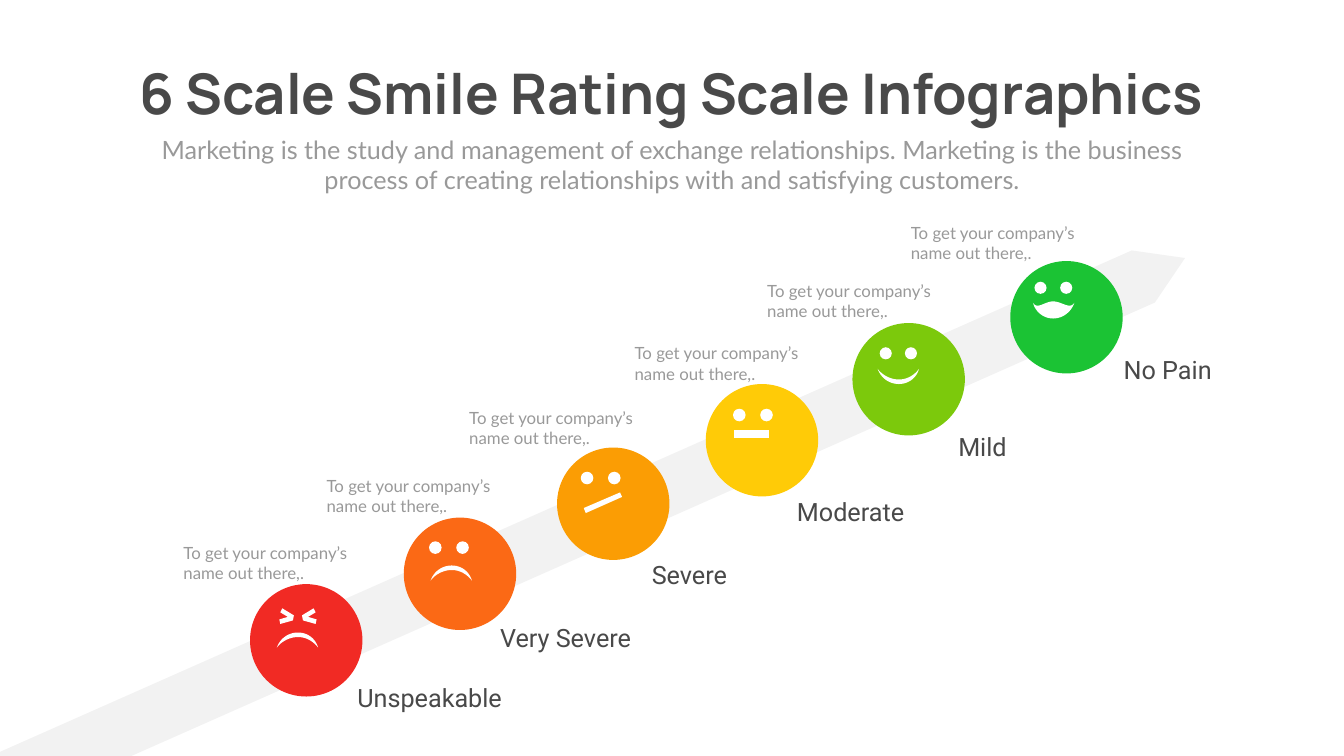
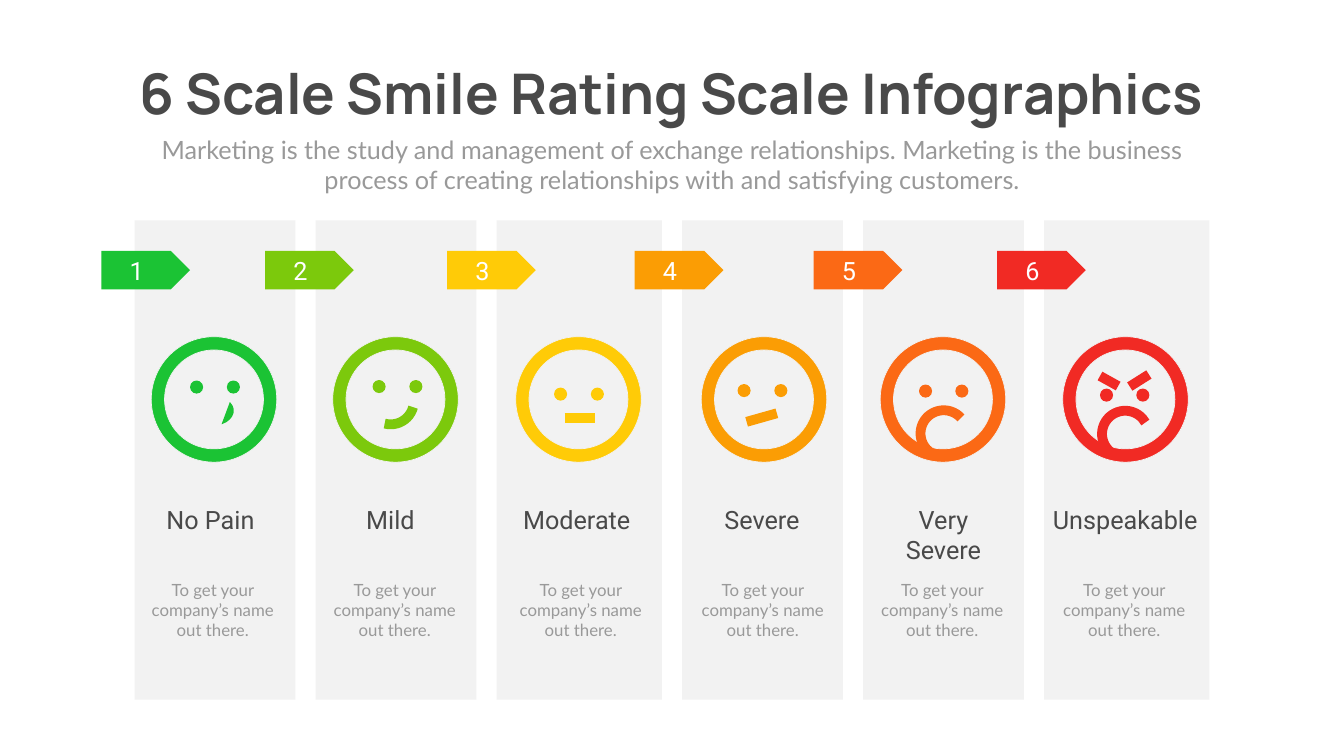
import dataclasses

import pptx
import pptx.dml.color
import pptx.enum.shapes
import pptx.enum.text
import pptx.oxml.ns
import pptx.util
from lxml import etree

SHAPE = pptx.enum.shapes.MSO_SHAPE
ALIGN = pptx.enum.text.PP_ALIGN

# The slide is a grid of one-inch cells; every length below counts cells.
CELL = 914400
COLUMNS, ROWS = 26.66, 15

INK, GREY, PANEL, WHITE = "494949", "999999", "F2F2F2", "FFFFFF"
HEADING, BODY, LABEL = "Manrope", "Lato", "Roboto"
COLORS = {
    "No Pain": "1BC334",
    "Mild": "7CC90C",
    "Moderate": "FFCB07",
    "Severe": "FB9D04",
    "Very Severe": "FB6915",
    "Unspeakable": "F12A24",
}
TITLE = "6 Scale Smile Rating Scale Infographics"
SUBTITLE = (
    "Marketing is the study and management of exchange relationships. "
    "Marketing is the business process of creating relationships with "
    "and satisfying customers."
)


@dataclasses.dataclass
class Box:
    left: float
    top: float
    width: float
    height: float

    def inner(self, left, top, width, height):
        return Box(self.left + left, self.top + top, width, height)

    def point(self, x, y):
        return cells(self.left + x), cells(self.top + y)

    def lengths(self):
        return [cells(n) for n in (self.left, self.top, self.width, self.height)]


def cells(count):
    return round(count * CELL)


def rgb(color):
    return pptx.dml.color.RGBColor.from_string(color)


def paint(shape, fill=None, line=None, weight=0):
    shape.shadow.inherit = False
    if fill:
        shape.fill.solid()
        shape.fill.fore_color.rgb = rgb(fill)
    else:
        shape.fill.background()
    if line:
        shape.line.color.rgb = rgb(line)
        shape.line.width = pptx.util.Pt(weight)
    else:
        shape.line.fill.background()


def add_shape(slide, kind, box, fill=None, line=None, weight=0, rotation=0, adjust=()):
    shape = slide.shapes.add_shape(kind, *box.lengths())
    paint(shape, fill, line, weight)
    shape.rotation = rotation
    for index, value in enumerate(adjust):
        shape.adjustments[index] = value
    return shape


def write(shape, text, size, font, color, align=ALIGN.CENTER, bold=False):
    shape.text_frame.text = text
    paragraph = shape.text_frame.paragraphs[0]
    paragraph.alignment = align
    for run in paragraph.runs:
        run.font.size = pptx.util.Pt(size)
        run.font.name = font
        run.font.bold = bold
        run.font.color.rgb = rgb(color)


def add_text(slide, box, text, size, font, color, align=ALIGN.CENTER):
    shape = slide.shapes.add_textbox(*box.lengths())
    shape.text_frame.word_wrap = True
    shape.text_frame.auto_size = pptx.enum.text.MSO_AUTO_SIZE.SHAPE_TO_FIT_TEXT
    write(shape, text, size, font, color, align)


def add_titled_slide(presentation):
    slide = presentation.slides.add_slide(presentation.slide_layouts[5])
    title = slide.shapes.title
    title.left, title.top, title.width, title.height = Box(1.92, 1.12, 22.81, 1.45).lengths()
    write(title, TITLE, 80, HEADING, INK, bold=True)
    frame = title.text_frame
    frame.word_wrap = False
    frame.auto_size = pptx.enum.text.MSO_AUTO_SIZE.SHAPE_TO_FIT_TEXT
    frame.vertical_anchor = pptx.enum.text.MSO_ANCHOR.TOP
    add_text(slide, Box(2.92, 2.61, 20.82, 1.31), SUBTITLE, 36, BODY, GREY)
    return slide


# Features of a face: each is placed relative to the box of the face.

def draw_eyes(slide, face, color, left, right, top, size):
    for x in (left, right):
        add_shape(slide, SHAPE.OVAL, face.inner(x, top, size, size), color)


def draw_stroke(slide, face, color, start, end, weight=14):
    connector = slide.shapes.add_connector(
        pptx.enum.shapes.MSO_CONNECTOR.STRAIGHT, *face.point(*start), *face.point(*end))
    connector.line.color.rgb = rgb(color)
    connector.line.width = pptx.util.Pt(weight)
    etree.SubElement(connector._element.spPr, pptx.oxml.ns.qn("a:effectLst"))


def draw_arc(slide, face, color, left, top, rotation, start, end):
    add_shape(slide, SHAPE.ARC, face.inner(left, top, 0.92, 0.92), line=color, weight=14,
              rotation=rotation, adjust=angles(start, end))


def draw_grin(slide, face, color):
    add_shape(slide, SHAPE.CHORD, face.inner(1, 1.12, 0.55, 0.73), color,
              rotation=262.7, adjust=angles(63.85, 162))


def draw_outline(slide, face, color, points):
    first, *rest = [face.point(*point) for point in points]
    builder = slide.shapes.build_freeform(*first, scale=1.0)
    builder.add_line_segments(rest, close=True)
    paint(builder.convert_to_shape(), color)


def draw_mouth(slide, face, color, left, top, curve):
    draw_outline(slide, face.inner(left, top, 0, 0), color, curve)


def angles(*degrees):
    """Turn degrees into adjustment values, which count 60000 per degree over 100000."""
    return [degree * 0.6 for degree in degrees]


def trace(start, *curves, steps=12):
    """List points along a chain of cubic curves."""
    points = [start]
    for first, second, end in curves:
        corners = list(zip(points[-1], first, second, end))
        for step in range(1, steps + 1):
            t = step / steps
            points.append(tuple(
                a * (1 - t) ** 3 + 3 * b * t * (1 - t) ** 2 + 3 * c * t ** 2 * (1 - t) + d * t ** 3
                for a, b, c, d in corners))
    return points


FROWN = trace(
    (0.42, 0),
    ((0.22, 0), (0.06, 0.13), (0, 0.3)),
    ((0.09, 0.18), (0.25, 0.09), (0.42, 0.09)),
    ((0.59, 0.09), (0.73, 0.18), (0.82, 0.3)),
    ((0.77, 0.12), (0.61, 0), (0.42, 0)),
)
SMILE = [(x, 0.3 - y) for x, y in FROWN]
LAUGH = trace(
    (0.4, 0),
    ((0.23, 0), (0.09, 0.17), (0, 0.03)),
    ((0.05, 0.21), (0.21, 0.34), (0.4, 0.34)),
    ((0.59, 0.34), (0.76, 0.21), (0.82, 0.03)),
    ((0.73, 0.17), (0.57, 0), (0.4, 0)),
)
SQUINT = [(0.6, 0.79), (0.85, 0.72), (0.87, 0.62), (0.64, 0.48),
          (0.6, 0.56), (0.75, 0.65), (0.58, 0.7)]
MIRRORED_SQUINT = [(1.9 - x, y) for x, y in SQUINT]
SLANTED_MOUTH = [(0.53, 1.2), (0.57, 1.3), (1.29, 0.98), (1.25, 0.89)]

# Name, face corner, caption and label offsets from it, label width, features
STEPS = [
    ("Unspeakable", (4.96, 11.59), (-1.42, -0.88), (2.03, 1.89), 5.5, [
        (draw_outline, SQUINT), (draw_outline, MIRRORED_SQUINT),
        (draw_mouth, 0.53, 0.96, FROWN)]),
    ("Very Severe", (8.01, 10.27), (-1.63, -0.88), (1.81, 2.02), 3.95, [
        (draw_eyes, 0.5, 1.04, 0.47, 0.25), (draw_mouth, 0.53, 0.95, FROWN)]),
    ("Severe", (11.05, 8.88), (-1.84, -0.84), (1.78, 2.17), 3.95, [
        (draw_eyes, 0.47, 1.01, 0.48, 0.25), (draw_outline, SLANTED_MOUTH)]),
    ("Moderate", (14, 7.62), (-1.51, -0.86), (1.71, 2.18), 3.95, [
        (draw_eyes, 0.54, 1.08, 0.49, 0.25), (draw_stroke, (0.56, 0.99), (1.26, 0.99), 12)]),
    ("Mild", (16.91, 6.41), (-1.79, -0.89), (2, 2.1), 3.95, [
        (draw_eyes, 0.54, 1.04, 0.48, 0.24), (draw_mouth, 0.5, 0.91, SMILE)]),
    ("No Pain", (20.04, 5.18), (-2.07, -0.82), (2.15, 1.8), 3.95, [
        (draw_eyes, 0.48, 0.99, 0.41, 0.24), (draw_mouth, 0.45, 0.8, LAUGH)]),
]

# Name, panel width, offsets of tag, face, label and caption, label width, features
PANELS = [
    ("No Pain", 3.19, (-0.66, 0.33, 0.5, 0.2), 2.01, [
        (draw_eyes, 0.77, 1.5, 0.87, 0.26), (draw_grin,)]),
    ("Mild", 3.19, (-1, 0.34, 0.48, 0.22), 2.01, [
        (draw_eyes, 0.79, 1.52, 0.86, 0.26), (draw_arc, 0.69, 0.82, 105, 270, 0)]),
    ("Moderate", 3.28, (-0.98, 0.38, 0.3, 0.32), 2.58, [
        (draw_eyes, 0.76, 1.49, 1.01, 0.26), (draw_stroke, (0.97, 1.62), (1.57, 1.62))]),
    ("Severe", 3.19, (-0.94, 0.38, 0.58, 0.25), 2.01, [
        (draw_eyes, 0.72, 1.45, 0.94, 0.26), (draw_stroke, (0.9, 1.69), (1.5, 1.52))]),
    ("Very Severe", 3.19, (-0.98, 0.34, 0.59, 0.22), 2.01, [
        (draw_eyes, 0.77, 1.49, 0.95, 0.26), (draw_arc, 0.8, 1.46, 318.1, 161.11, 0)]),
    ("Unspeakable", 3.28, (-0.93, 0.37, -0.03, 0.24), 3.28, [
        (draw_eyes, 0.74, 1.46, 1.03, 0.26),
        (draw_stroke, (0.74, 0.78), (1.1, 0.98)), (draw_stroke, (1.33, 0.99), (1.71, 0.75)),
        (draw_arc, 0.78, 1.47, 318.1, 145.97, 12.37)]),
]
PANEL_LEFT, PANEL_TOP, PANEL_HEIGHT, PANEL_GAP = 2.67, 4.37, 9.51, 0.4


def draw_features(slide, face, color, features):
    for draw, *details in features:
        draw(slide, face, color, *details)


def add_rising_arrow(slide):
    arrow = add_shape(slide, SHAPE.RIGHT_ARROW, Box(-1.37, 9.82, 25.99, 1.13), "808080",
                      rotation=336.1, adjust=(1, 0.8))
    color = arrow._element.spPr.find(".//" + pptx.oxml.ns.qn("a:srgbClr"))
    etree.SubElement(color, pptx.oxml.ns.qn("a:alpha")).set("val", "10000")


def add_step(slide, face, name, caption, label, label_width, features):
    add_shape(slide, SHAPE.OVAL, face, COLORS[name])
    draw_features(slide, face, WHITE, features)
    add_text(slide, face.inner(*caption, 3.67, 0.91),
             "To get your company’s name out there,.", 24, BODY, GREY, ALIGN.LEFT)
    add_text(slide, face.inner(*label, label_width, 0.71), name, 36, LABEL, INK, ALIGN.LEFT)


def add_panel(slide, panel, number, name, offsets, label_width, features):
    tag_left, face_left, label_left, caption_left = offsets
    color = COLORS[name]
    add_shape(slide, SHAPE.RECTANGLE, panel, PANEL)

    tag = add_shape(slide, SHAPE.PENTAGON, panel.inner(tag_left, 0.61, 1.76, 0.76), color)
    frame = tag.text_frame
    frame.margin_left = frame.margin_top = frame.margin_bottom = 0
    frame.margin_right = cells(0.17)
    write(tag, str(number), 36, LABEL, WHITE)

    face = panel.inner(face_left, 2.31, 2.49, 2.49)
    add_shape(slide, SHAPE.DONUT, face, color, PANEL, 1, adjust=(0.106,))
    draw_features(slide, face, color, features)

    label_height = 1.31 if name == "Very Severe" else 0.71
    add_text(slide, panel.inner(label_left, 5.58, label_width, label_height),
             name, 36, LABEL, INK)
    add_text(slide, panel.inner(caption_left, 7.08, 2.7, 1.31),
             "To get your company’s name out there.", 24, BODY, GREY)


def build_rising_scale(presentation):
    slide = add_titled_slide(presentation)
    add_rising_arrow(slide)
    for name, corner, *details in STEPS:
        add_step(slide, Box(*corner, 2.23, 2.23), name, *details)


def build_panel_scale(presentation):
    slide = add_titled_slide(presentation)
    left = PANEL_LEFT
    for number, (name, width, *details) in enumerate(PANELS, start=1):
        add_panel(slide, Box(left, PANEL_TOP, width, PANEL_HEIGHT), number, name, *details)
        left += width + PANEL_GAP


def main():
    presentation = pptx.Presentation()
    presentation.slide_width, presentation.slide_height = cells(COLUMNS), cells(ROWS)
    build_rising_scale(presentation)
    build_panel_scale(presentation)
    presentation.save("out.pptx")


if __name__ == "__main__":
    main()
